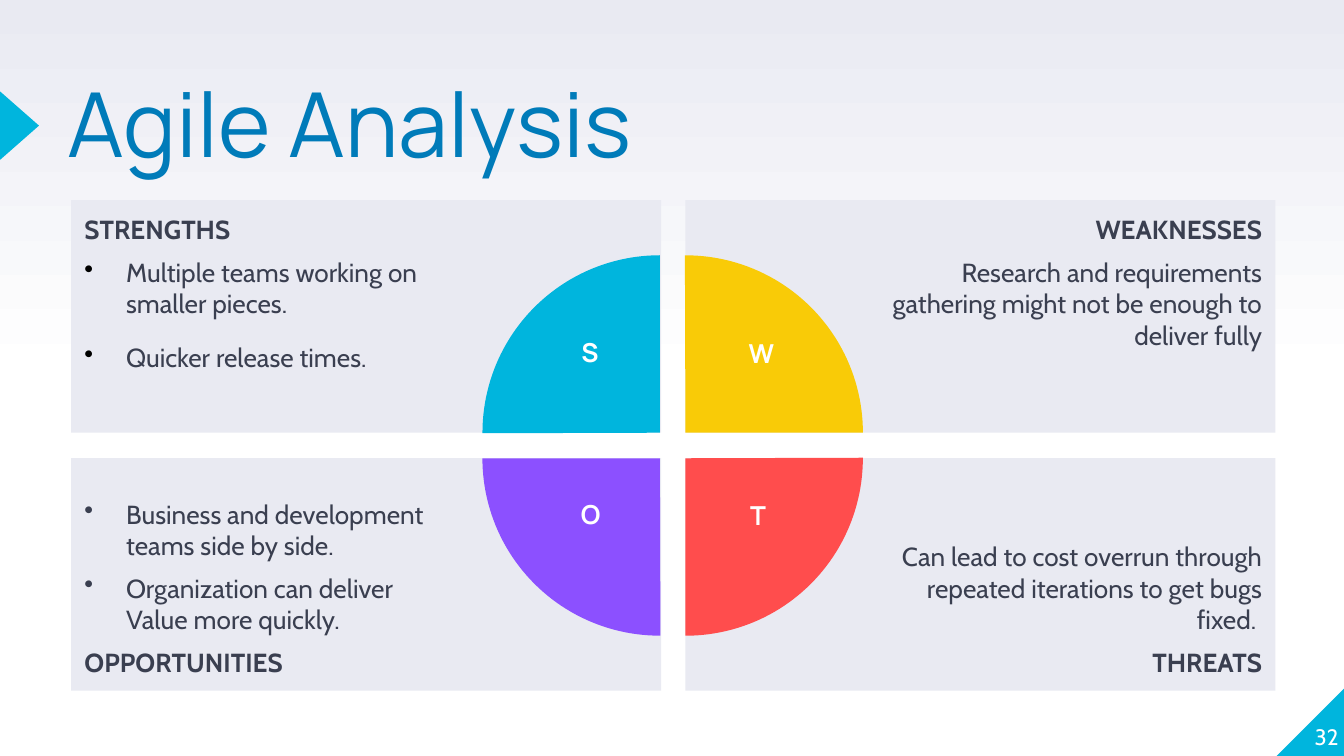
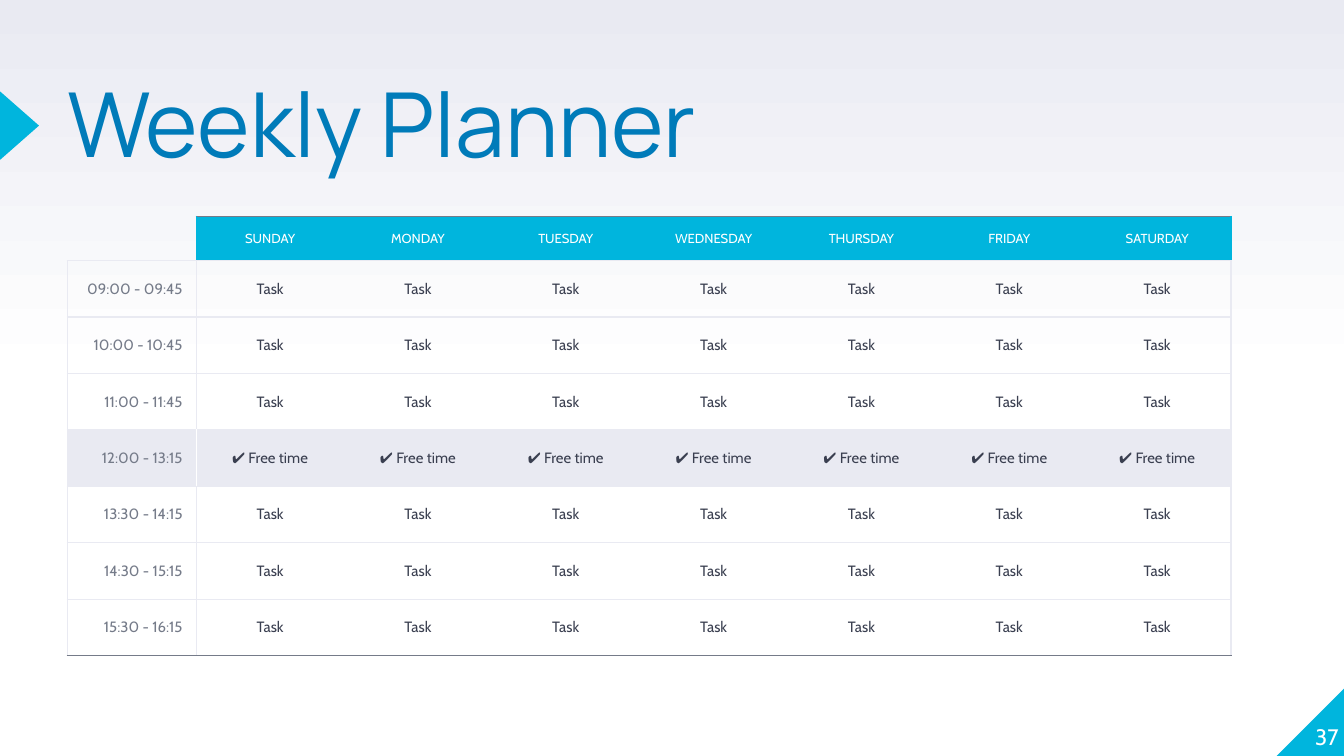
from dataclasses import dataclass

from lxml import etree
from pptx import Presentation
from pptx import util as u
from pptx.dml.color import RGBColor
from pptx.enum import shapes, text
from pptx.oxml import ns

# Shared style
CYAN = RGBColor(0x00, 0xB5, 0xDD)
BLUE = RGBColor(0x00, 0x7B, 0xB9)
YELLOW = RGBColor(0xF9, 0xCB, 0x07)
RED = RGBColor(0xFF, 0x4D, 0x4D)
PURPLE = RGBColor(0x8C, 0x50, 0xFF)
PALE = RGBColor(0xE9, 0xEA, 0xF2)
GREY = RGBColor(0x75, 0x7B, 0x89)
DARK = RGBColor(0x3A, 0x3F, 0x50)
BLACK = RGBColor(0, 0, 0)
WHITE = RGBColor(0xFF, 0xFF, 0xFF)
HEAD_FONT, BODY_FONT = "Manrope", "Cabin"
WIDTH, HEIGHT = 10, 10 * 9 / 16
TITLE_ONLY = 5

SHAPE = shapes.MSO_SHAPE
ALIGN = text.PP_ALIGN
ANCHOR = text.MSO_ANCHOR

# SWOT grid: a 2 by 2 set of panels around four quarter circles
PANEL_LEFT, PANEL_TOP = 0.53, 1.49
PANEL_WIDTH, PANEL_HEIGHT = 4.39, 1.73
PANEL_STEP_X, PANEL_STEP_Y = 4.57, 1.92
PIE_LEFT, PIE_TOP, PIE_SIZE, PIE_STEP = 3.59, 1.9, 2.64, 0.19

# Weekly planner grid
DAYS = ["SUNDAY", "MONDAY", "TUESDAY", "WEDNESDAY", "THURSDAY", "FRIDAY", "SATURDAY"]
HOURS = ["09:00 - 09:45", "10:00 - 10:45", "11:00 - 11:45", "12:00 - 13:15",
         "13:30 - 14:15", "14:30 - 15:15", "15:30 - 16:15"]
BREAK_ROW = 4
HOUR_WIDTH, DAY_WIDTH = 0.96, 1.1
HEADER_HEIGHT, HOUR_HEIGHT = 0.33, 0.42


@dataclass
class Line:
    text: str
    bold: bool = False
    bullet: RGBColor = None
    before: int = 0
    after: int = 0


def box(left, top, width, height):
    return [u.Inches(length) for length in (left, top, width, height)]


def set_insets(frame, left=0, top=0, right=0, bottom=0):
    frame.margin_left, frame.margin_top = u.Inches(left), u.Inches(top)
    frame.margin_right, frame.margin_bottom = u.Inches(right), u.Inches(bottom)


def style_paragraph(paragraph, size, color, font=BODY_FONT, bold=False, align=ALIGN.LEFT):
    paragraph.alignment = align
    for run in paragraph.runs:
        run.font.name = font
        run.font.size = u.Pt(size)
        run.font.bold = bold
        run.font.color.rgb = color


def add_bullet(paragraph, color):
    properties = paragraph._p.get_or_add_pPr()
    properties.set("marL", str(u.Inches(0.31)))
    properties.set("indent", str(-u.Inches(0.31)))
    bullet_color = etree.SubElement(properties, ns.qn("a:buClr"))
    etree.SubElement(bullet_color, ns.qn("a:srgbClr"), val=str(color))
    etree.SubElement(properties, ns.qn("a:buChar"), char="•")


def write_lines(frame, lines, align):
    for index, line in enumerate(lines):
        paragraph = frame.add_paragraph() if index else frame.paragraphs[0]
        paragraph.text = line.text
        style_paragraph(paragraph, 14, DARK, bold=line.bold, align=align)
        paragraph.space_before = u.Pt(line.before)
        paragraph.space_after = u.Pt(line.after)
        if line.bullet is not None:
            add_bullet(paragraph, line.bullet)


def add_solid(slide, kind, place, color, rotation=0):
    shape = slide.shapes.add_shape(kind, *box(*place))
    shape.shadow.inherit = False
    shape.fill.solid()
    shape.fill.fore_color.rgb = color
    shape.line.fill.background()
    shape.rotation = rotation
    return shape


def add_label(slide, place, label, size, font, bold=False, align=ALIGN.CENTER):
    frame = slide.shapes.add_textbox(*box(*place)).text_frame
    frame.word_wrap = True
    frame.text = label
    style_paragraph(frame.paragraphs[0], size, WHITE, font, bold, align)
    return frame


def add_base_slide(presentation, title, number):
    slide = presentation.slides.add_slide(presentation.slide_layouts[TITLE_ONLY])

    # Background fading upwards from white
    fill = slide.background.fill
    fill.gradient()
    fill.gradient_angle = 90
    for stop, position, color in zip(fill.gradient_stops, (0.5, 1), (WHITE, PALE)):
        stop.position = position
        stop.color.rgb = color

    # Corner and title marker
    corner = add_solid(slide, SHAPE.RIGHT_TRIANGLE, (WIDTH - 0.5, HEIGHT - 0.51, 0.51, 0.51), CYAN)
    corner._element.spPr.find(ns.qn("a:xfrm")).set("flipH", "1")
    add_solid(slide, SHAPE.ISOSCELES_TRIANGLE, (-0.11, 0.79, 0.51, 0.29), CYAN, 90)

    # Title
    heading = slide.shapes.title
    heading.left, heading.top, heading.width, heading.height = box(0.5, 0.66, 6.17, 1.18)
    frame = heading.text_frame
    frame.text = title
    frame.auto_size = text.MSO_AUTO_SIZE.NONE
    frame.vertical_anchor = ANCHOR.TOP
    set_insets(frame)
    style_paragraph(frame.paragraphs[0], 48, BLUE, HEAD_FONT)
    frame.paragraphs[0].line_spacing = 0.8

    # Slide number
    frame = add_label(slide, (9.46, 5.07, 0.5, 0.51), number, 12, BODY_FONT, align=ALIGN.RIGHT)
    frame.vertical_anchor = ANCHOR.BOTTOM
    set_insets(frame)
    return slide


def add_panel(slide, column, row, lines):
    place = (PANEL_LEFT + column * PANEL_STEP_X, PANEL_TOP + row * PANEL_STEP_Y,
             PANEL_WIDTH, PANEL_HEIGHT)
    frame = add_solid(slide, SHAPE.RECTANGLE, place, PALE).text_frame
    frame.word_wrap = True
    frame.vertical_anchor = ANCHOR.BOTTOM if row else ANCHOR.TOP
    set_insets(frame, 1.5 if column else 0.1, 0.1, 0.1 if column else 1.5, 0.1)
    write_lines(frame, lines, ALIGN.RIGHT if column else ALIGN.LEFT)


def add_quarter(slide, column, row, color, rotation):
    place = (PIE_LEFT + column * PIE_STEP, PIE_TOP + row * PIE_STEP, PIE_SIZE, PIE_SIZE)
    quarter = add_solid(slide, SHAPE.PIE, place, color, rotation)
    quarter.adjustments[0] = 107.89
    quarter.adjustments[1] = 162


def build_swot(presentation):
    slide = add_base_slide(presentation, "Agile Analysis", "32")

    # Panels
    add_panel(slide, 0, 0, [
        Line("STRENGTHS", bold=True),
        Line("Multiple teams working on smaller pieces.", bullet=BLACK, before=6, after=6),
        Line("Quicker release times.", bullet=BLACK, before=6, after=6)])
    add_panel(slide, 1, 0, [
        Line("WEAKNESSES", bold=True),
        Line("Research and requirements gathering might not be enough to deliver fully",
             before=6, after=6)])
    add_panel(slide, 0, 1, [
        Line("Business and development teams side by side.", bullet=DARK),
        Line("Organization can deliver Value more quickly.", bullet=DARK, before=6),
        Line("OPPORTUNITIES", bold=True, before=6, after=6)])
    add_panel(slide, 1, 1, [
        Line("Can lead to cost overrun through repeated iterations to get bugs fixed. "),
        Line("THREATS", bold=True, before=6, after=6)])

    # Quarter circles, clockwise from the top left
    corners = [(0, 0, CYAN), (1, 0, YELLOW), (1, 1, RED), (0, 1, PURPLE)]
    for turn, (column, row, color) in enumerate(corners):
        add_quarter(slide, column, row, color, turn * 90)

    # Letters
    letters = {"S": (4.2, 2.45, 0.38, 0.49), "W": (5.31, 2.46, 0.71, 0.48),
               "O": (4.16, 3.66, 0.47, 0.49), "T": (5.44, 3.67, 0.4, 0.48)}
    for letter, place in letters.items():
        add_label(slide, place, letter, 14, HEAD_FONT, bold=True)


def set_borders(cell, **colors):
    properties = cell._tc.get_or_add_tcPr()
    for index, side in enumerate("LRTB"):
        line = etree.Element(ns.qn(f"a:ln{side}"), w=str(u.Pt(0.75)))
        color = colors.get(side)
        if color is None:
            etree.SubElement(line, ns.qn("a:noFill"))
        else:
            solid = etree.SubElement(line, ns.qn("a:solidFill"))
            etree.SubElement(solid, ns.qn("a:srgbClr"), val=str(color))
        properties.insert(index, line)


def fill_cell(cell, label, size, color, fill=None, align=ALIGN.CENTER):
    cell.vertical_anchor = ANCHOR.MIDDLE
    set_insets(cell, *[0.1 if label else 0] * 4)
    if label:
        cell.text = label
        style_paragraph(cell.text_frame.paragraphs[0], size, color, align=align)
    if fill is None:
        cell.fill.background()
    else:
        cell.fill.solid()
        cell.fill.fore_color.rgb = fill


def build_planner(presentation):
    slide = add_base_slide(presentation, "Weekly Planner", "37")
    last_row, last_column = len(HOURS), len(DAYS)
    place = (0.5, 1.61, HOUR_WIDTH + last_column * DAY_WIDTH,
             HEADER_HEIGHT + last_row * HOUR_HEIGHT)
    table = slide.shapes.add_table(last_row + 1, last_column + 1, *box(*place)).table
    table.first_row = table.horz_banding = False
    for index, column in enumerate(table.columns):
        column.width = u.Inches(DAY_WIDTH if index else HOUR_WIDTH)
    for index, row in enumerate(table.rows):
        row.height = u.Inches(HOUR_HEIGHT if index else HEADER_HEIGHT)

    # Header row
    for index, day in enumerate([""] + DAYS):
        cell = table.cell(0, index)
        fill_cell(cell, day, 7, WHITE, CYAN if day else None)
        set_borders(cell, T=GREY if day else None, B=PALE,
                    L=CYAN if index == 1 else None,
                    R=CYAN if index in (0, last_column) else None)

    # Hours and tasks
    for row, hour in enumerate(HOURS, 1):
        is_break = row == BREAK_ROW
        fill = PALE if is_break else None
        divider = WHITE if is_break else PALE
        bottom = GREY if row == last_row else PALE
        for column in range(last_column + 1):
            cell = table.cell(row, column)
            if column == 0:
                fill_cell(cell, hour, 8, GREY, fill, ALIGN.RIGHT)
            else:
                fill_cell(cell, "✔ Free time" if is_break else "Task", 8, DARK, fill)
            left = {0: PALE, 1: divider}.get(column)
            right = {0: divider, last_column: PALE}.get(column)
            set_borders(cell, L=left, R=right, T=PALE, B=bottom)


def main():
    presentation = Presentation()
    presentation.slide_width = u.Inches(WIDTH)
    presentation.slide_height = u.Inches(HEIGHT)
    build_swot(presentation)
    build_planner(presentation)
    presentation.save("out.pptx")


if __name__ == "__main__":
    main()
